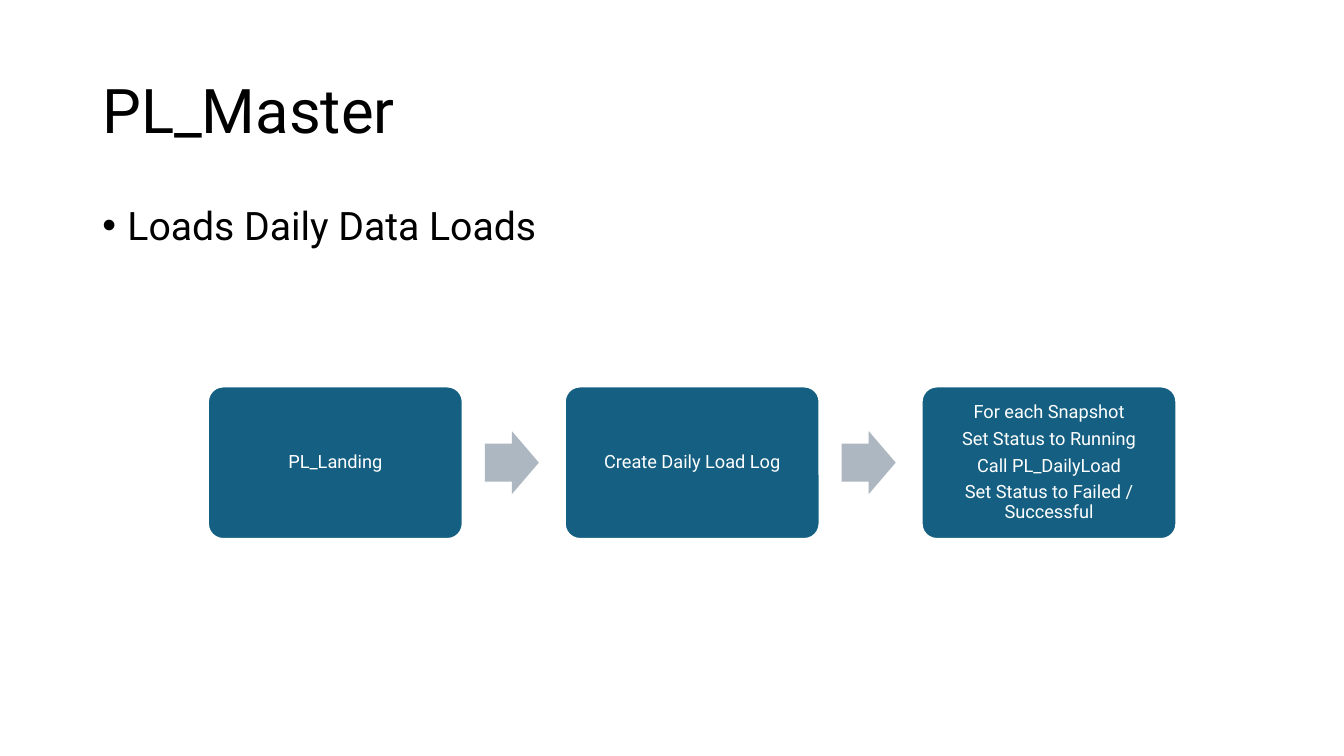
from pptx import Presentation
from pptx.dml.color import RGBColor
from pptx.enum import shapes, text
from pptx.oxml import parse_xml
from pptx.oxml.ns import nsdecls
from pptx.util import Pt

COLORS = {"ink": "000000", "box": "156082", "arrow": "ACB7C1", "white": "FFFFFF"}

presentation = Presentation()
presentation.slide_width, presentation.slide_height = Pt(960), Pt(540)
slide = presentation.slides.add_slide(presentation.slide_layouts[6])


def write(shape, lines, size, color, anchor):
    """Fill a shape with one paragraph per line and return the paragraphs."""
    frame = shape.text_frame
    frame.word_wrap = True
    frame.vertical_anchor = anchor
    frame.text = "\n".join(lines)
    for paragraph in frame.paragraphs:
        paragraph.line_spacing = 0.9
        paragraph.font.name = "Roboto"
        paragraph.font.size = Pt(size)
        paragraph.font.color.rgb = RGBColor.from_string(COLORS[color])
    return frame.paragraphs


def add_solid(kind, left, top, width, height, color):
    """Add a flat preset shape without an outline."""
    shape = slide.shapes.add_shape(kind, Pt(left), Pt(top), Pt(width), Pt(height))
    shape.shadow.inherit = False
    shape.fill.solid()
    shape.fill.fore_color.rgb = RGBColor.from_string(COLORS[color])
    shape.line.fill.background()
    return shape


# Title
title = slide.shapes.add_textbox(Pt(66), Pt(28.75), Pt(828), Pt(104.4))
write(title, ["PL_Master"], 44, "ink", text.MSO_ANCHOR.MIDDLE)

# Bullet
body = slide.shapes.add_textbox(Pt(66), Pt(143.75), Pt(828), Pt(85))
bullet = write(body, ["Loads Daily Data Loads"], 28, "ink", text.MSO_ANCHOR.TOP)[0]
bullet.space_before = Pt(10)
properties = bullet._p.get_or_add_pPr()
properties.set("marL", str(Pt(18)))
properties.set("indent", str(-Pt(18)))
properties.append(parse_xml(f'<a:buFont {nsdecls("a")} typeface="Arial"/>'))
properties.append(parse_xml(f'<a:buChar {nsdecls("a")} char="•"/>'))

# Process steps, with an arrow between neighbours
steps = [
    ["PL_Landing"],
    ["Create Daily Load Log"],
    ["For each Snapshot", "Set Status to Running", "Call PL_DailyLoad",
     "Set Status to Failed / Successful"],
]
first_left, pitch = 148.5, 254.9
for index, lines in enumerate(steps):
    left = first_left + index * pitch
    box = add_solid(shapes.MSO_SHAPE.ROUNDED_RECTANGLE, left, 276, 182, 109, "box")
    box.adjustments[0] = 0.1
    box.line.color.rgb = RGBColor.from_string(COLORS["white"])
    box.line.width = Pt(1.5)
    frame = box.text_frame
    frame.margin_left = frame.margin_right = Pt(3.6)
    frame.margin_top = frame.margin_bottom = Pt(3.6)
    for paragraph in write(box, lines, 13, "white", text.MSO_ANCHOR.MIDDLE):
        paragraph.alignment = text.PP_ALIGN.CENTER
        paragraph.space_after = Pt(4.9)
    if index < len(steps) - 1:
        arrow = add_solid(shapes.MSO_SHAPE.RIGHT_ARROW, left + 197.8, 307.9, 38.6, 45.1, "arrow")
        arrow.adjustments[0] = 0.6
        arrow.adjustments[1] = 0.5

presentation.save("out.pptx")
